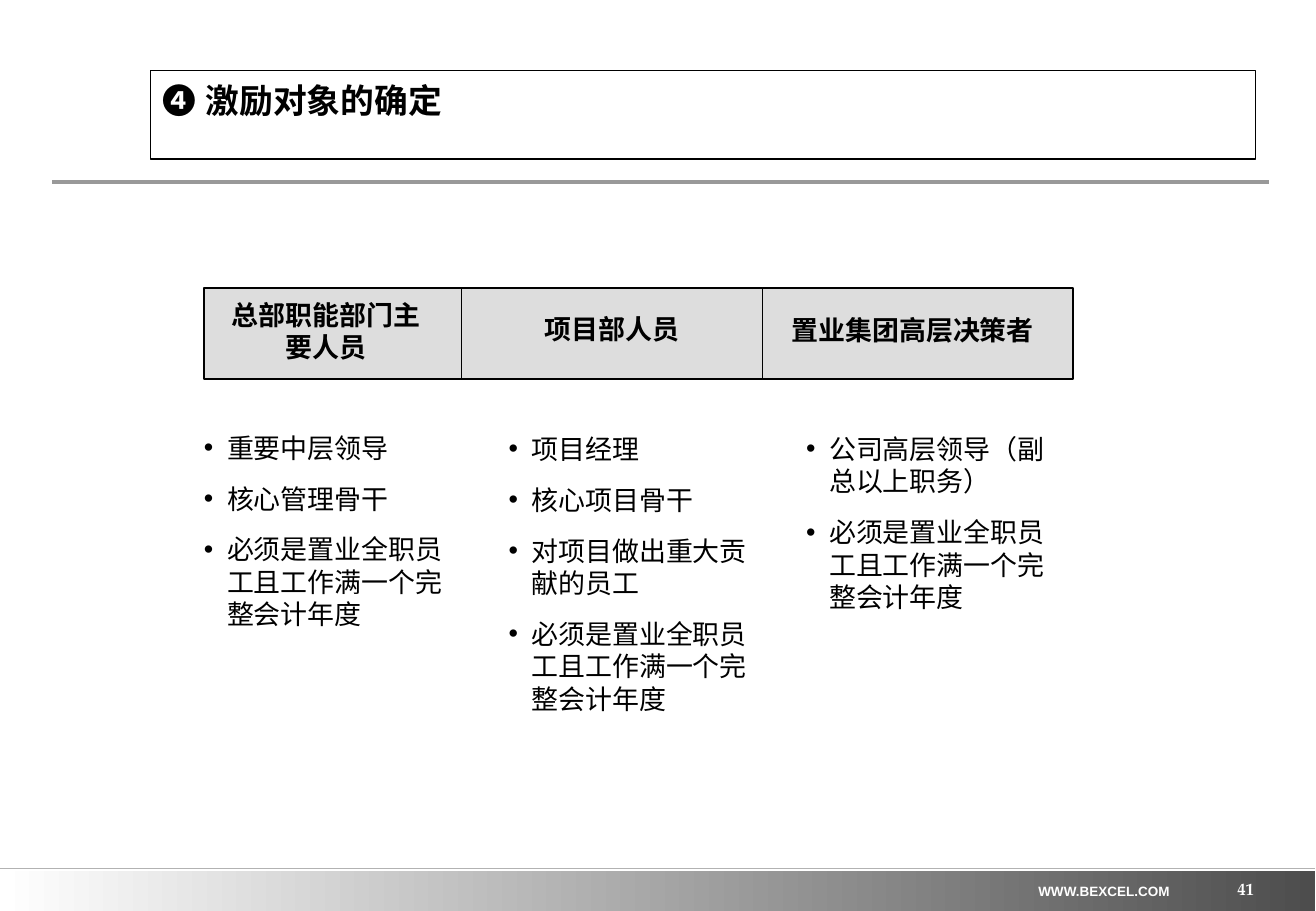
from lxml import etree
from pptx import Presentation
from pptx import util as u
from pptx.dml.color import RGBColor
from pptx.enum import shapes, text
from pptx.oxml import ns

PX = 9144
CJK = "Noto Sans CJK SC"
COLORS = {
    "white": "FFFFFF",
    "black": "000000",
    "cell": "DDDDDD",
    "rule": "999999",
    "footer_rule": "B2B2B2",
    "footer_end": "4D4D4D",
}
TENURE_RULE = "必须是置业全职员工且工作满一个完整会计年度"
HEADERS = [
    ("总部职能部门主要人员", (168, 237, 213, 75), (172, 241, 193, 64)),
    ("项目部人员", (380, 237, 248, 75), (384, 252, 240, 37)),
    ("置业集团高层决策者", (628, 237, 256, 75), (632, 253, 240, 37)),
]
CRITERIA = [
    ((168, 355, 209, 164), ["重要中层领导", "核心管理骨干"]),
    ((419, 356, 213, 232), ["项目经理", "核心项目骨干", "对项目做出重大贡献的员工"]),
    ((664, 356, 216, 149), ["公司高层领导（副总以上职务）"]),
]


def px(*lengths):
    return [u.Emu(length * PX) for length in lengths]


def color(name):
    return RGBColor.from_string(COLORS[name])


def add_rectangle(page, area, fill):
    box = page.shapes.add_shape(shapes.MSO_SHAPE.RECTANGLE, *px(*area))
    box.shadow.inherit = False
    box.fill.solid()
    box.fill.fore_color.rgb = color(fill)
    box.line.color.rgb = color("black")
    box.line.width = u.Pt(0.75)
    return box


def add_footer_band(page):
    band = add_rectangle(page, (0, 717, 1083, 33), "white")
    band.line.fill.background()
    band.fill.gradient()
    band.fill.gradient_angle = 0
    for stop, name in zip(band.fill.gradient_stops, ("white", "footer_end")):
        stop.color.rgb = color(name)


def add_rule(page, left, right, top, name, width):
    rule = page.shapes.add_connector(
        shapes.MSO_CONNECTOR.STRAIGHT, *px(left, top, right, top))
    rule.line.color.rgb = color(name)
    rule.line.width = u.Pt(width)
    etree.SubElement(rule._element.spPr, ns.qn("a:effectLst"))


def set_frame(box, margins=(10, 5), wrap=True, grow=True,
              anchor=text.MSO_ANCHOR.TOP):
    frame = box.text_frame
    frame.margin_left = frame.margin_right = px(margins[0])[0]
    frame.margin_top = frame.margin_bottom = px(margins[1])[0]
    frame.word_wrap = wrap
    frame.vertical_anchor = anchor
    if grow:
        frame.auto_size = text.MSO_AUTO_SIZE.SHAPE_TO_FIT_TEXT
    return frame


def add_text_box(page, area, **options):
    return set_frame(page.shapes.add_textbox(*px(*area)), **options)


def add_span(para, content, size=16, font="Arial", fill="black", bold=True):
    span = para.add_run()
    span.text = content
    span.font.size = u.Pt(size)
    span.font.name = font
    span.font.bold = bold
    span.font.color.rgb = color(fill)
    east_asian = etree.SubElement(span._r.get_or_add_rPr(), ns.qn("a:ea"))
    east_asian.set("typeface", font)


def add_bullet(para):
    properties = para._p.get_or_add_pPr()
    indent = px(19)[0]
    properties.set("marL", str(indent))
    properties.set("indent", str(-indent))
    font = etree.SubElement(properties, ns.qn("a:buFont"))
    font.set("typeface", "Arial")
    bullet = etree.SubElement(properties, ns.qn("a:buChar"))
    bullet.set("char", "•")


def add_title(page):
    box = add_rectangle(page, (124, 58, 910, 73), "white")
    para = set_frame(box, grow=False).paragraphs[0]
    para.alignment = text.PP_ALIGN.LEFT
    para.line_spacing = u.Pt(26)
    add_span(para, "❹ ", size=20)
    add_span(para, "激励对象的确定", size=20, font=CJK)


def add_header(page, label, cell, area):
    add_rectangle(page, cell, "cell")
    para = add_text_box(page, area).paragraphs[0]
    para.alignment = text.PP_ALIGN.CENTER
    add_span(para, label)


def add_bullet_list(page, area, items):
    frame = add_text_box(page, area, margins=(0, 0))
    for index, item in enumerate(items):
        para = frame.add_paragraph() if index else frame.paragraphs[0]
        para.line_spacing = u.Pt(19.2)
        if index:
            para.space_before = u.Pt(11)
        add_bullet(para)
        add_span(para, item, font=CJK, bold=False)


def add_footer_text(page):
    site = add_text_box(page, (845, 722, 129, 24), wrap=False).paragraphs[0]
    site.alignment = text.PP_ALIGN.CENTER
    add_span(site, "WWW.BEXCEL.COM", size=8, fill="white")
    number = add_text_box(page, (807, 707, 226, 33), margins=(0, 0), grow=False,
                          anchor=text.MSO_ANCHOR.BOTTOM).paragraphs[0]
    number.alignment = text.PP_ALIGN.RIGHT
    add_span(number, "41", size=10, font="TeX Gyre Pagella", fill="white")


def main():
    deck = Presentation()
    deck.slide_width, deck.slide_height = px(1084, 750)
    page = deck.slides.add_slide(deck.slide_layouts[6])
    add_footer_band(page)
    add_rule(page, 43, 1045, 150, "rule", 2.5)
    add_rule(page, 0, 1083, 715, "footer_rule", 1)
    add_title(page)
    for label, cell, area in HEADERS:
        add_header(page, label, cell, area)
    for area, items in CRITERIA:
        add_bullet_list(page, area, items + [TENURE_RULE])
    add_footer_text(page)
    deck.save("out.pptx")


if __name__ == "__main__":
    main()
